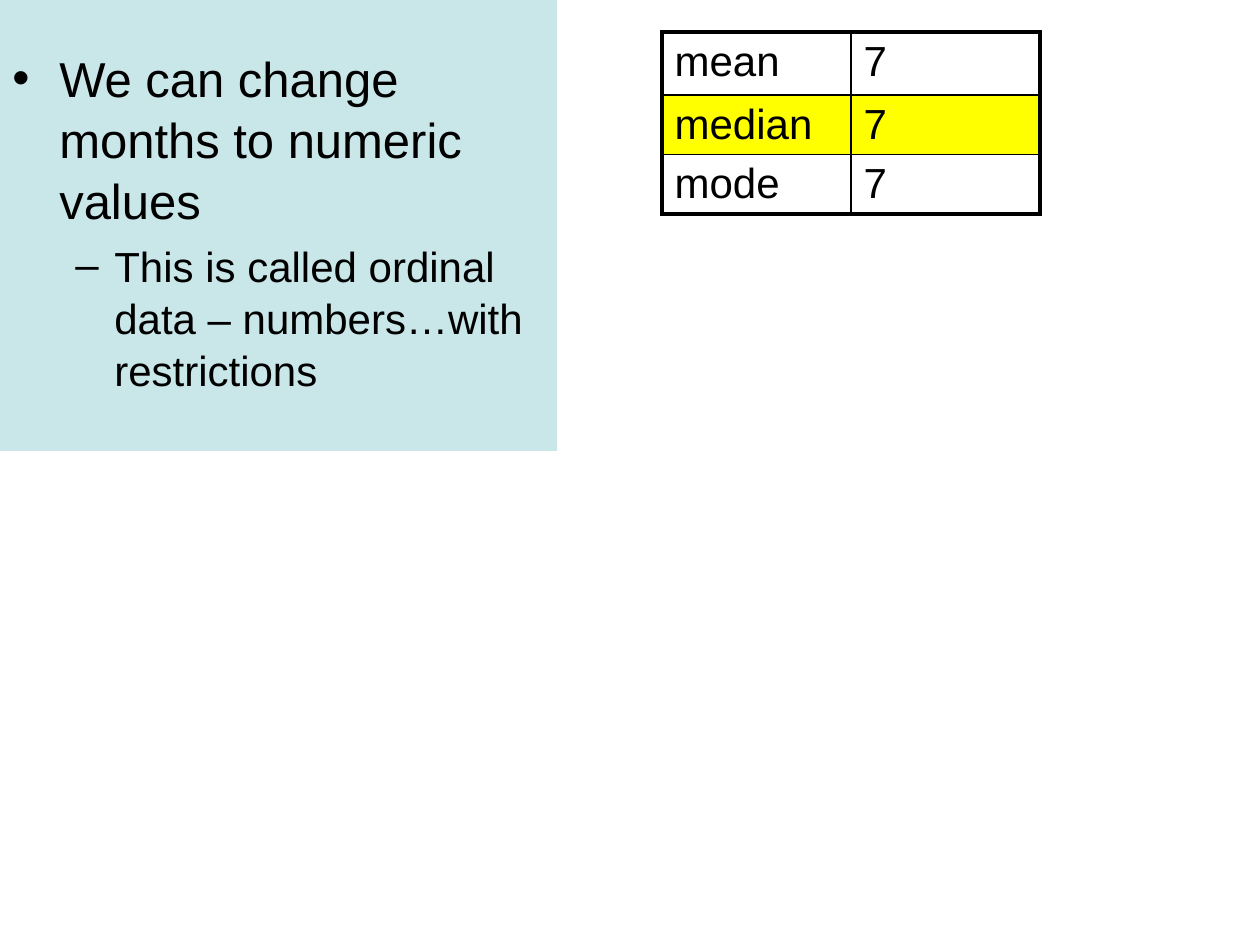
import dataclasses

import lxml.etree
import pptx
import pptx.dml.color
import pptx.enum.shapes
import pptx.enum.text
import pptx.oxml
import pptx.oxml.ns
import pptx.util

PX = 914400 / 126
FONT = "Arial"
BLACK = "000000"
THIN, THICK = 1, 2.25


@dataclasses.dataclass
class Bullet:
    text: str
    mark: str
    size: int
    level: int
    margin: int
    hang: int
    before: int


@dataclasses.dataclass
class Statistic:
    name: str
    value: str
    height: int
    fill: str = ""


BULLETS = [
    Bullet("We can change months to numeric values", "•", 28, 0, 47, 47, 0),
    Bullet("This is called ordinal data – numbers…with restrictions",
           "–", 24, 1, 102, 39, 5),
]
STATISTICS = [
    Statistic("mean", "7", 63),
    Statistic("median", "7", 54, "FFFF00"),
    Statistic("mode", "7", 54),
]


def px(n: int) -> int:
    return round(n * PX)


def color(value: str) -> pptx.dml.color.RGBColor:
    return pptx.dml.color.RGBColor.from_string(value)


def add_run(p, text: str, size: int) -> None:
    r = p.add_run()
    r.text = text
    r.font.name = FONT
    r.font.size = pptx.util.Pt(size)
    r.font.color.rgb = color(BLACK)


def set_borders(cell, widths: dict[str, float]) -> None:
    tc_pr = cell._tc.get_or_add_tcPr()
    for i, (side, width) in enumerate(widths.items()):
        ln = pptx.oxml.parse_xml(
            f'<a:ln{side} {pptx.oxml.ns.nsdecls("a")} w="{pptx.util.Pt(width)}">'
            f'<a:solidFill><a:srgbClr val="{BLACK}"/></a:solidFill></a:ln{side}>')
        tc_pr.insert(i, ln)


def add_statistics(s, rows: list[Statistic]) -> None:
    frame = s.shapes.add_table(len(rows), 2, px(662), px(32), px(378), px(189))
    table = frame.table
    table.first_row = False
    table.horz_banding = False
    last = len(rows) - 1
    for i, row in enumerate(rows):
        table.rows[i].height = px(row.height)
        for j, text in enumerate((row.name, row.value)):
            cell = table.cell(i, j)
            add_run(cell.text_frame.paragraphs[0], text, 24)
            if row.fill:
                cell.fill.solid()
                cell.fill.fore_color.rgb = color(row.fill)
            else:
                cell.fill.background()
            set_borders(cell, {
                "L": THICK if j == 0 else THIN,
                "R": THICK if j == 1 else THIN,
                "T": THICK if i == 0 else THIN,
                "B": THICK if i == last else THIN,
            })
    frame.height = px(189)


def add_panel(s, bullets: list[Bullet]) -> None:
    sp = s.shapes.add_shape(pptx.enum.shapes.MSO_SHAPE.RECTANGLE,
                            0, 0, px(557), px(451))
    sp.shadow.inherit = False
    sp.line.fill.background()
    sp.fill.solid()
    sp.fill.fore_color.rgb = color("BBE0E3")
    fill = sp._element.spPr.find(".//" + pptx.oxml.ns.qn("a:srgbClr"))
    lxml.etree.SubElement(fill, pptx.oxml.ns.qn("a:alpha"), val="79000")
    tf = sp.text_frame
    tf.word_wrap = True
    tf.vertical_anchor = pptx.enum.text.MSO_ANCHOR.TOP
    tf.margin_top = px(46)
    for i, bullet in enumerate(bullets):
        p = tf.paragraphs[0] if i == 0 else tf.add_paragraph()
        p.alignment = pptx.enum.text.PP_ALIGN.LEFT
        p.level = bullet.level
        p.line_spacing = 1.04
        p.space_before = pptx.util.Pt(bullet.before)
        p_pr = p._p.get_or_add_pPr()
        p_pr.set("marL", str(px(bullet.margin)))
        p_pr.set("indent", str(-px(bullet.hang)))
        lxml.etree.SubElement(p_pr, pptx.oxml.ns.qn("a:buFont"), typeface=FONT)
        lxml.etree.SubElement(p_pr, pptx.oxml.ns.qn("a:buChar"), char=bullet.mark)
        add_run(p, bullet.text, bullet.size)


def main() -> None:
    prs = pptx.Presentation()
    prs.slide_width = px(1260)
    prs.slide_height = px(945)
    s = prs.slides.add_slide(prs.slide_layouts[6])
    add_statistics(s, STATISTICS)
    add_panel(s, BULLETS)
    prs.save("out.pptx")


if __name__ == "__main__":
    main()
